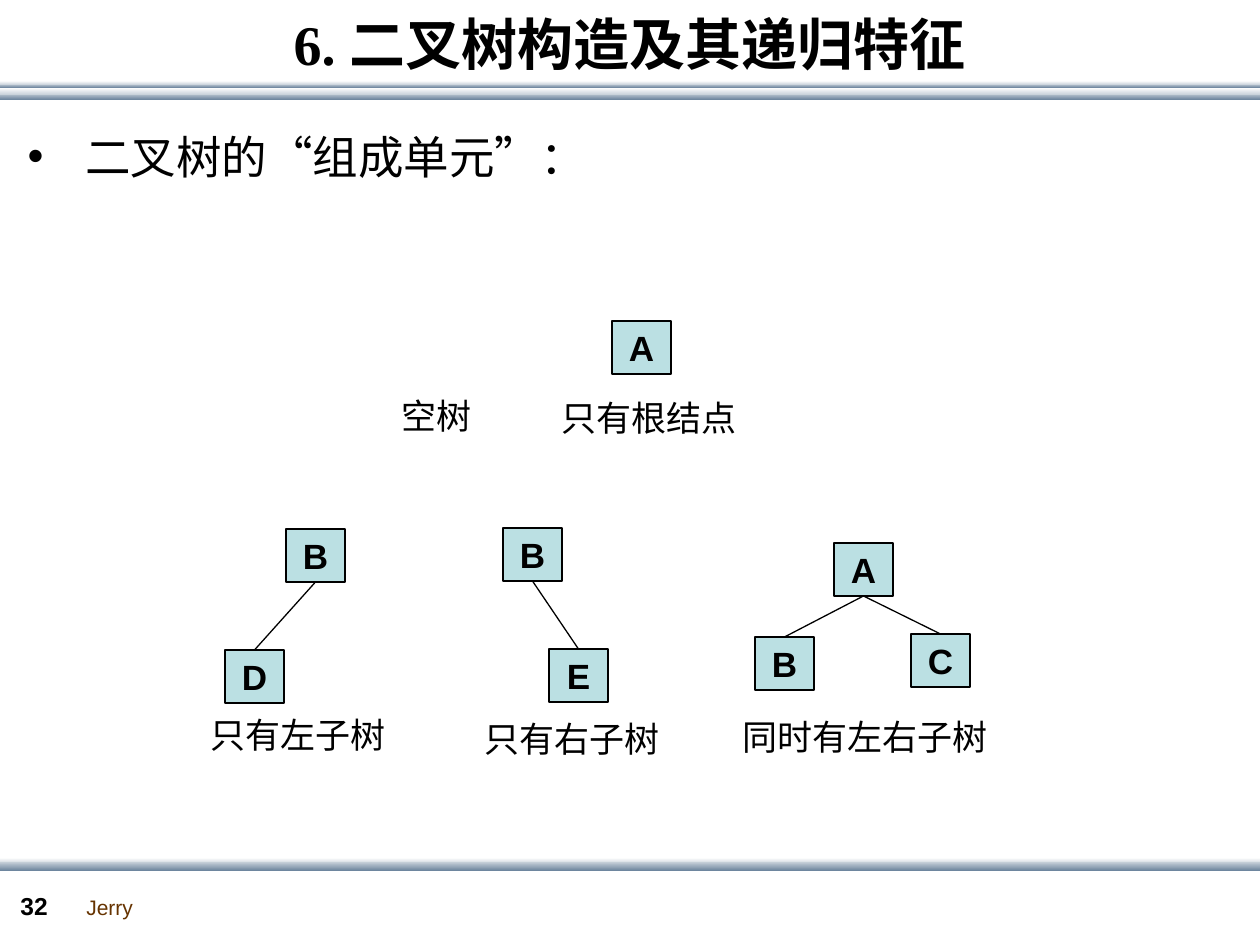
from lxml import etree
from pptx import Presentation
from pptx.dml.color import RGBColor
from pptx.enum.shapes import MSO_CONNECTOR, MSO_SHAPE
from pptx.enum.text import MSO_ANCHOR, MSO_AUTO_SIZE, PP_ALIGN
from pptx.oxml.ns import qn
from pptx.util import Emu, Pt

RECT = MSO_SHAPE.RECTANGLE
STRAIGHT = MSO_CONNECTOR.STRAIGHT
MIDDLE, TOP = MSO_ANCHOR.MIDDLE, MSO_ANCHOR.TOP
CENTER, LEFT = PP_ALIGN.CENTER, PP_ALIGN.LEFT
GROW, FIXED = MSO_AUTO_SIZE.SHAPE_TO_FIT_TEXT, MSO_AUTO_SIZE.NONE
BOTTOM_SITE, TOP_SITE = 2, 0

PX_PER_INCH = 126
WIDTH, HEIGHT = 1260, 945
NODE_W, NODE_H = 59, 53
CAPTION_H = 55
SANS, SERIF, CJK = "Arial", "Times New Roman", "Noto Sans CJK SC"
COLORS = {
    "ink": "000000",
    "node": "BBE0E3",
    "author": "663300",
    "white": "FFFFFF",
    "mist": "C8D1DA",
    "steel": "6A839C",
}


def px(length):
    return Emu(round(length * 914400 / PX_PER_INCH))


def color(key):
    return RGBColor.from_string(COLORS[key])


class TreeSlide:
    def __init__(self, deck):
        self.slide = deck.slides.add_slide(deck.slide_layouts[1])
        self.shapes = self.slide.shapes

    def set_text(self, frame, text, size, font, ink="ink", bold=False, align=LEFT):
        paragraph = frame.paragraphs[0]
        paragraph.text = text
        paragraph.alignment = align
        paragraph.font.size = Pt(size)
        paragraph.font.bold = bold
        paragraph.font.color.rgb = color(ink)
        paragraph.font.name = font
        defaults = paragraph._p.pPr.find(qn("a:defRPr"))
        etree.SubElement(defaults, qn("a:ea")).set("typeface", CJK)
        return paragraph

    def placeholder(self, holder, box, anchor):
        holder.left, holder.top, holder.width, holder.height = map(px, box)
        frame = holder.text_frame
        frame.auto_size = FIXED
        frame.vertical_anchor = anchor
        return frame

    def title(self, text, box):
        frame = self.placeholder(self.shapes.title, box, MIDDLE)
        self.set_text(frame, text, 32, SERIF, bold=True, align=CENTER)

    def body(self, text, box):
        frame = self.placeholder(self.slide.placeholders[1], box, TOP)
        paragraph = self.set_text(frame, text, 26, CJK)
        paragraph.line_spacing = 1.1
        paragraph.space_before = Pt(18)

    def band(self, top, height, start, end):
        band = self.shapes.add_shape(RECT, 0, px(top), px(WIDTH), px(height))
        band.shadow.inherit = False
        band.line.fill.background()
        band.fill.gradient()
        band.fill.gradient_angle = 270
        for stop, key, position in zip(band.fill.gradient_stops, (start, end), (0, 1)):
            stop.color.rgb = color(key)
            stop.position = position

    def label(self, text, box, size=20, font=CJK, ink="ink", bold=False, wrap=True):
        frame = self.shapes.add_textbox(*map(px, box)).text_frame
        frame.word_wrap = wrap
        frame.auto_size = GROW
        self.set_text(frame, text, size, font, ink, bold)

    def node(self, letter, left, top):
        node = self.shapes.add_shape(RECT, px(left), px(top), px(NODE_W), px(NODE_H))
        node.shadow.inherit = False
        node.fill.solid()
        node.fill.fore_color.rgb = color("node")
        node.line.color.rgb = color("ink")
        node.line.width = Pt(0.75)
        frame = node.text_frame
        frame.word_wrap = False
        frame.vertical_anchor = MIDDLE
        self.set_text(frame, letter, 20, SANS, bold=True, align=CENTER)
        return node

    def edge(self, parent, child):
        edge = self.shapes.add_connector(STRAIGHT, 0, 0, 0, 0)
        edge.begin_connect(parent, BOTTOM_SITE)
        edge.end_connect(child, TOP_SITE)
        edge.line.color.rgb = color("ink")
        edge.line.width = Pt(0.75)
        etree.SubElement(edge._element.spPr, qn("a:effectLst"))

    def tree(self, root, *children):
        parent = self.node(*root)
        for child in children:
            self.edge(parent, self.node(*child))


def main():
    deck = Presentation()
    deck.slide_width, deck.slide_height = px(WIDTH), px(HEIGHT)
    page = TreeSlide(deck)

    for band in (
        (93, 7, "mist", "steel"),
        (84, 4, "mist", "steel"),
        (88, 7, "white", "mist"),
        (81, 4, "white", "mist"),
        (858, 6, "white", "mist"),
        (862, 9, "mist", "steel"),
    ):
        page.band(*band)

    page.label("Jerry", (74, 888, 73, 38), 12, SANS, "author", wrap=False)
    page.label("32", (8, 885, 69, 42), 14, SANS, bold=True)
    page.title("6. 二叉树构造及其递归特征", (0, 0, WIDTH, 87))
    page.body(" 二叉树的“组成单元”：", (15, 117, 1312, 84))

    for caption, left, top, width in (
        ("空树", 389, 388, 110),
        ("只有根结点", 549, 390, 213),
        ("只有左子树", 198, 707, 213),
        ("只有右子树", 472, 711, 213),
        ("同时有左右子树", 730, 709, 273),
    ):
        page.label(caption, (left, top, width, CAPTION_H))

    page.tree(("A", 612, 321))
    page.tree(("B", 286, 529), ("D", 225, 650))
    page.tree(("B", 503, 528), ("E", 549, 649))
    page.tree(("A", 834, 543), ("B", 755, 637), ("C", 911, 634))

    deck.save("out.pptx")


if __name__ == "__main__":
    main()
